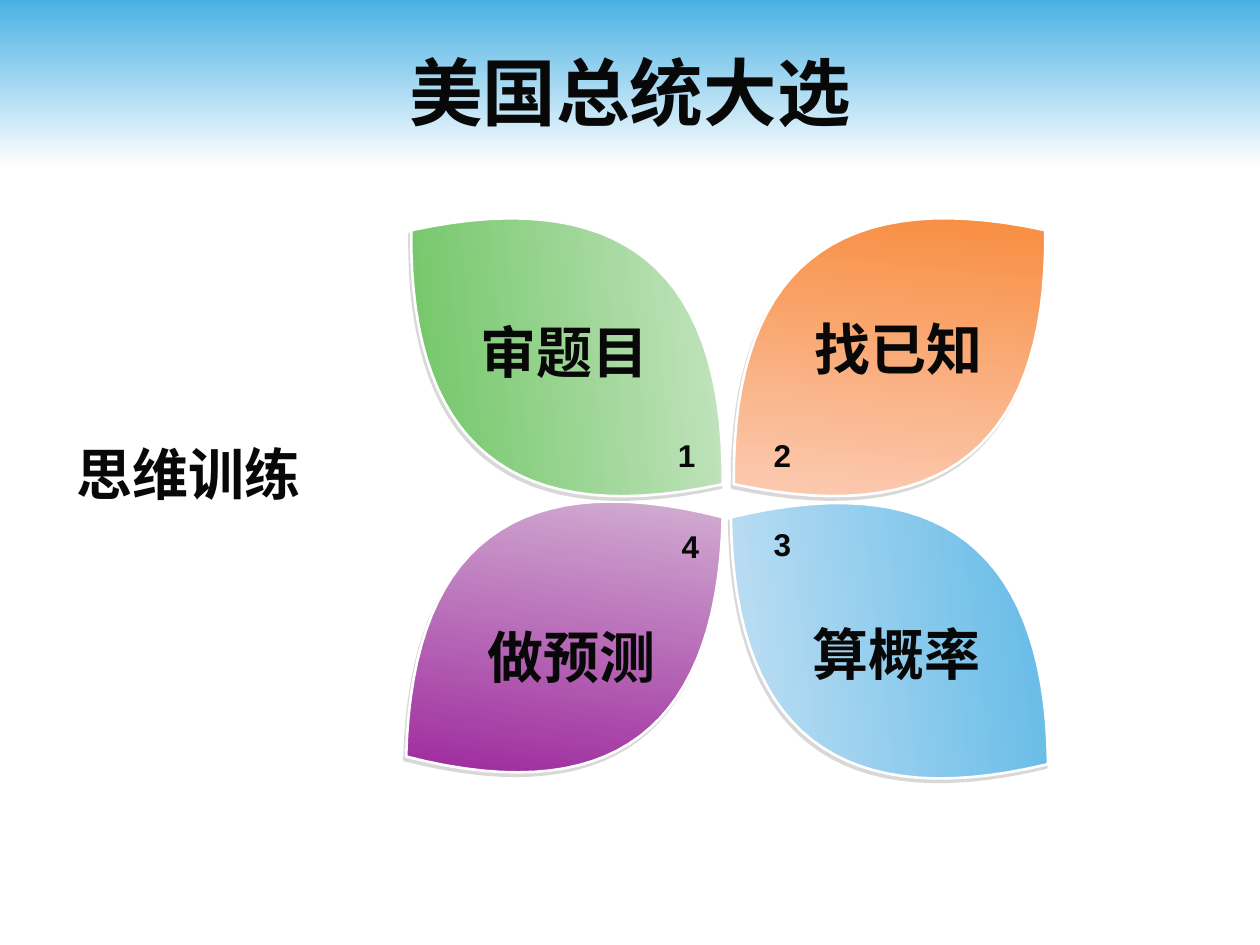
from dataclasses import dataclass

from lxml.etree import SubElement
from pptx import Presentation
from pptx.dml.color import RGBColor
from pptx.enum.shapes import MSO_SHAPE as Kind
from pptx.enum.text import MSO_ANCHOR as Anchor, PP_ALIGN as Align
from pptx.oxml.ns import qn
from pptx.util import Inches, Pt

INK = "080808"
SANS = "Noto Sans CJK SC"
STEPS = 30


@dataclass
class Petal:
    left: float
    top: float
    width: float
    height: float
    turn: float
    start: str
    end: str
    angle: float


@dataclass
class Label:
    text: str
    left: float
    top: float
    width: float
    height: float
    size: int
    font: str = SANS
    anchor: Anchor = Anchor.TOP
    wrap: bool = True


PETALS = [
    Petal(6.06, 1.24, 2, 3.19, 50.8, "FCDED6", "F77A1D", 225),
    Petal(3.49, 3.48, 1.98, 3.15, 52.9, "8F038F", "E1D5E1", 225),
    Petal(6.06, 3.49, 2, 3.19, 307.9, "D8E8F6", "4AB1E4", 45),
    Petal(3.5, 1.24, 2, 3.19, 309.2, "5BBE4E", "DAECD8", 45),
]

HEADS = [
    Label("美国总统大选", 0.5, 0.25, 9, 0.95, 42, "Arial", Anchor.MIDDLE),
    Label("思维训练", -1.46, 3.28, 5.91, 0.95, 32, "Arial", Anchor.MIDDLE),
]
TASKS = [
    Label(text, left, top, 1.81, 0.64, 32)
    for text, left, top in [
        ("审题目", 3.58, 2.47),
        ("找已知", 6.23, 2.45),
        ("算概率", 6.21, 4.87),
        ("做预测", 3.63, 4.89),
    ]
]
MARKS = [
    Label(text, left, top, 0.34, 0.4, 18, "Arial", wrap=False)
    for text, left, top in [
        ("1", 5.28, 3.41),
        ("2", 6.04, 3.41),
        ("3", 6.04, 4.12),
        ("4", 5.31, 4.13),
    ]
]


def color(code: str) -> RGBColor:
    return RGBColor.from_string(code)


def apply(target, values: dict) -> None:
    for key, value in values.items():
        setattr(target, key, value)


def blend(shape, start: str, end: str, angle: float) -> None:
    """Fill with a two-colour gradient; the angle runs clockwise."""
    fill = shape.fill
    fill.gradient()
    fill.gradient_angle = 360 - angle
    for stop, code, place in zip(fill.gradient_stops, (start, end), (0, 1)):
        stop.color.rgb = color(code)
        stop.position = place


def shade(shape) -> None:
    """Cast a sharp, half-clear grey shadow down and to the left."""
    shape.shadow.inherit = False
    effects = shape._element.spPr.find(qn("a:effectLst"))
    outer = SubElement(
        effects, qn("a:outerShdw"), blurRad="0", dist=str(int(Pt(2.2))),
        dir=str(117 * 60000), algn="ctr", rotWithShape="0",
    )
    tone = SubElement(outer, qn("a:srgbClr"), val="B2B2B2")
    SubElement(tone, qn("a:alpha"), val="50000")


def draw_band(shapes) -> None:
    band = shapes.add_shape(Kind.RECTANGLE, 0, 0, Inches(10), Inches(1.33))
    blend(band, "4AB1E4", "FFFFFF", 90)
    band.line.fill.background()
    band.shadow.inherit = False


def draw_petal(shapes, petal: Petal) -> None:
    """Draw an upright leaf with two parabolic sides, then turn it."""
    mid = petal.left + petal.width / 2

    def point(step: int, side: int) -> tuple[int, int]:
        part = step / STEPS
        bulge = 2 * petal.width * part * (1 - part)
        return Inches(mid + side * bulge), Inches(petal.top + petal.height * part)

    right = [point(step, 1) for step in range(STEPS + 1)]
    left = [point(step, -1) for step in range(STEPS - 1, 0, -1)]
    pen = shapes.build_freeform(*right[0])
    pen.add_line_segments(right[1:] + left, close=True)
    leaf = pen.convert_to_shape()
    leaf.rotation = petal.turn
    blend(leaf, petal.start, petal.end, petal.angle)
    leaf.line.color.rgb = color("FFFFFF")
    leaf.line.width = Pt(1.5)
    shade(leaf)


def draw_label(shapes, label: Label) -> None:
    area = map(Inches, (label.left, label.top, label.width, label.height))
    frame = shapes.add_textbox(*area).text_frame
    apply(frame, {"word_wrap": label.wrap, "vertical_anchor": label.anchor})
    para = frame.paragraphs[0]
    para.alignment = Align.CENTER
    run = para.add_run()
    run.text = label.text
    apply(run.font, {"name": label.font, "size": Pt(label.size), "bold": True})
    run.font.color.rgb = color(INK)
    SubElement(run._r.get_or_add_rPr(), qn("a:ea"), typeface=SANS)


def main() -> None:
    deck = Presentation()
    apply(deck, {"slide_width": Inches(10), "slide_height": Inches(7.5)})
    shapes = deck.slides.add_slide(deck.slide_layouts[6]).shapes
    draw_band(shapes)
    for petal in PETALS:
        draw_petal(shapes, petal)
    for label in HEADS + TASKS + MARKS:
        draw_label(shapes, label)
    deck.save("out.pptx")


if __name__ == "__main__":
    main()
